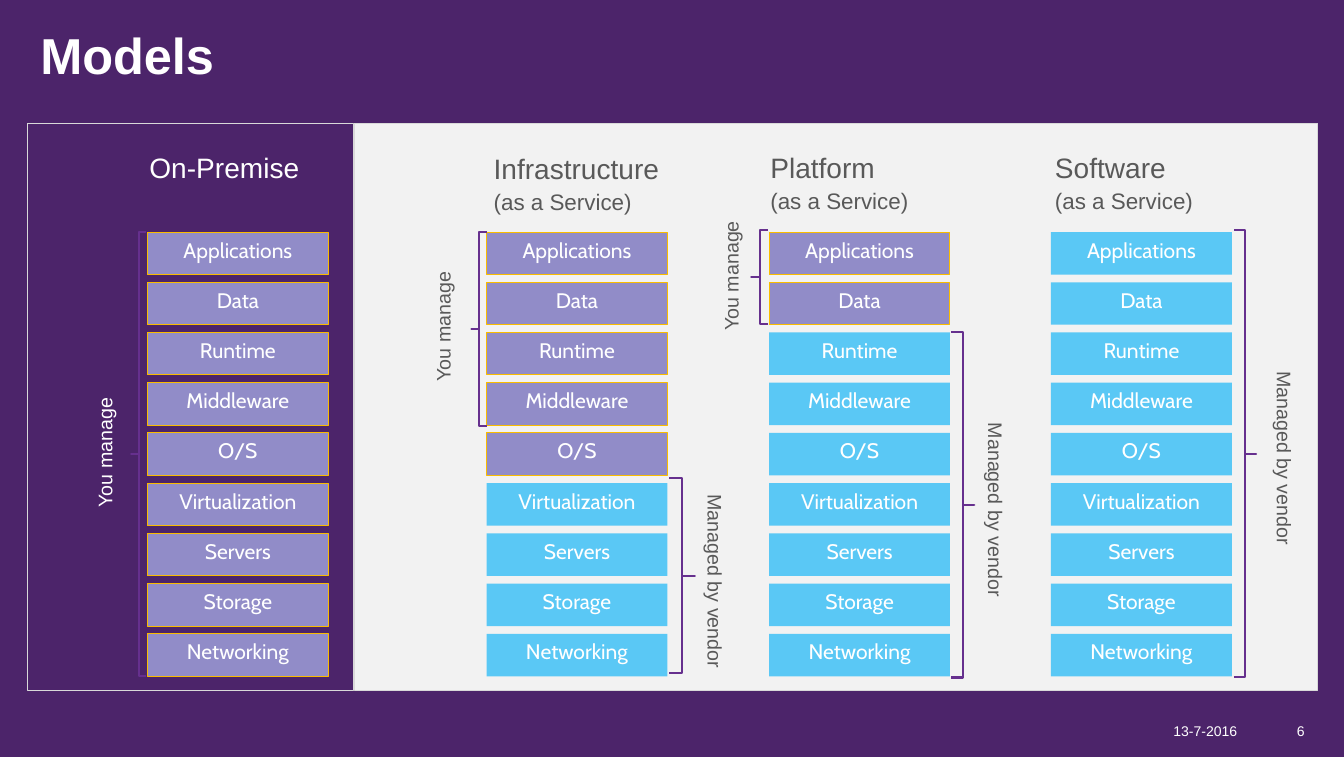
from pptx import Presentation
from pptx.dml.color import RGBColor
from pptx.enum.shapes import MSO_SHAPE
from pptx.enum.text import MSO_ANCHOR, PP_ALIGN
from pptx.util import Cm, Pt

BACKGROUND, WHITE, TEXT_GRAY = "4C246A", "FFFFFF", "595959"
PANEL, PANEL_LINE = "F2F2F2", "D9D9D9"
OWN_FILL, OWN_LINE, VENDOR_FILL = "918CC8", "F9BC00", "5AC8F5"
BRACE_LINE = "66308E"

LAYERS = ["Applications", "Data", "Runtime", "Middleware", "O/S",
          "Virtualization", "Servers", "Storage", "Networking"]
LAYER_WIDTH, LAYER_HEIGHT = 4.55, 1.07
STACK_TOP, LAYER_PITCH = 5.84, 10.11 / 8

# Boxes are (left, top, width, height) in centimetres.
MODELS = [
    {"heading": ["On-Premise"], "heading_box": (3.76, 3.71, 5.18, 1.78),
     "inset": 0, "color": WHITE, "left": 3.71, "own_layers": 9,
     "own": ((3.3, 5.84, 0.38, 11.18), (2.21, 9.88, 1.12, 3.02))},
    {"heading": ["Infrastructure", "(as a Service)"],
     "heading_box": (12.17, 3.73, 5.87, 1.78),
     "inset": 0.25, "color": TEXT_GRAY, "left": 12.24, "own_layers": 5,
     "own": ((11.86, 5.84, 0.38, 4.88), (10.72, 6.73, 1.12, 2.97)),
     "vendor": ((16.84, 12.04, 0.64, 4.9), (17.3, 12.19, 1.12, 4.7))},
    {"heading": ["Platform", "(as a Service)"],
     "heading_box": (19.13, 3.71, 5.56, 1.78),
     "inset": 0.25, "color": TEXT_GRAY, "left": 19.35, "own_layers": 2,
     "own": ((18.9, 5.79, 0.43, 2.36), (17.96, 5.46, 1.12, 2.97)),
     "vendor": ((23.93, 8.36, 0.58, 8.69), (24.36, 10.39, 1.12, 4.7))},
    {"heading": ["Software", "(as a Service)"],
     "heading_box": (26.29, 3.71, 5.64, 1.78),
     "inset": 0.25, "color": TEXT_GRAY, "left": 26.44, "own_layers": 0,
     "vendor": ((31.04, 5.79, 0.56, 11.25), (31.62, 9.09, 1.12, 4.7))},
]


def rgb(color):
    return RGBColor.from_string(color)


def to_lengths(box):
    return [Cm(value) for value in box]


def format_paragraph(paragraph, text, size, color, font="Arial", align=PP_ALIGN.LEFT):
    paragraph.text = text
    paragraph.alignment = align
    paragraph.font.name = font
    paragraph.font.size = Pt(size)
    paragraph.font.color.rgb = rgb(color)


def add_preset(shapes, kind, box, fill=None, line=None, line_width=0.75):
    shape = shapes.add_shape(kind, *to_lengths(box))
    shape.shadow.inherit = False
    if fill:
        shape.fill.solid()
        shape.fill.fore_color.rgb = rgb(fill)
    else:
        shape.fill.background()
    if line:
        shape.line.color.rgb = rgb(line)
        shape.line.width = Pt(line_width)
    else:
        shape.line.fill.background()
    return shape


def add_layer(shapes, text, left, row, is_own):
    box = (left, STACK_TOP + row * LAYER_PITCH, LAYER_WIDTH, LAYER_HEIGHT)
    fill, line = (OWN_FILL, OWN_LINE) if is_own else (VENDOR_FILL, None)
    shape = add_preset(shapes, MSO_SHAPE.RECTANGLE, box, fill, line)
    frame = shape.text_frame
    frame.vertical_anchor = MSO_ANCHOR.TOP
    format_paragraph(frame.paragraphs[0], text, 15, WHITE, "Cabin", PP_ALIGN.CENTER)


def add_heading(shapes, model):
    frame = shapes.add_textbox(*to_lengths(model["heading_box"])).text_frame
    frame.word_wrap = True
    frame.margin_top = frame.margin_bottom = 0
    frame.margin_left = frame.margin_right = Cm(model["inset"])
    for index, (text, size) in enumerate(zip(model["heading"], (20, 16))):
        paragraph = frame.add_paragraph() if index else frame.paragraphs[0]
        format_paragraph(paragraph, text, size, model["color"])
        paragraph.line_spacing = 1.1


def add_brace(shapes, box, opens_left):
    brace = add_preset(shapes, MSO_SHAPE.LEFT_BRACE, box, line=BRACE_LINE, line_width=1.5)
    brace.adjustments[0] = 0
    brace.adjustments[1] = 0.5
    if opens_left:
        brace.element.spPr.xfrm.set("flipH", "1")


def add_vertical_label(shapes, text, box, color, direction):
    label = shapes.add_textbox(*to_lengths(box))
    label.text_frame.word_wrap = False
    label.element.txBody.bodyPr.set("vert", direction)
    format_paragraph(label.text_frame.paragraphs[0], text, 14, color,
                     align=PP_ALIGN.CENTER)


def add_model(slide, model):
    shapes = slide.shapes.add_group_shape().shapes
    add_heading(shapes, model)
    for row, layer in enumerate(LAYERS):
        add_layer(shapes, layer, model["left"], row, row < model["own_layers"])
    for side, text, direction in (("own", "You manage", "vert270"),
                                  ("vendor", "Managed by vendor", "eaVert")):
        if side in model:
            brace_box, label_box = model[side]
            add_brace(shapes, brace_box, opens_left=side == "vendor")
            add_vertical_label(shapes, text, label_box, model["color"], direction)


def add_title(slide, text):
    title = slide.shapes.title
    title.left, title.top, title.width, title.height = to_lengths((0.76, 0.13, 32.05, 2.49))
    title.text_frame.vertical_anchor = MSO_ANCHOR.MIDDLE
    paragraph = title.text_frame.paragraphs[0]
    format_paragraph(paragraph, text, 36, WHITE)
    paragraph.font.bold = True


def add_footer(slide, text, left, width):
    frame = slide.shapes.add_textbox(*to_lengths((left, 17.88, width, 1.02))).text_frame
    frame.word_wrap = True
    frame.vertical_anchor = MSO_ANCHOR.MIDDLE
    format_paragraph(frame.paragraphs[0], text, 10, WHITE, align=PP_ALIGN.RIGHT)


def main():
    presentation = Presentation()
    presentation.slide_width, presentation.slide_height = Cm(33.81), Cm(19.05)
    slide = presentation.slides.add_slide(presentation.slide_layouts[5])
    slide.background.fill.solid()
    slide.background.fill.fore_color.rgb = rgb(BACKGROUND)

    add_title(slide, "Models")
    add_footer(slide, "13-7-2016", 23.47, 7.9)
    add_footer(slide, "6", 30.96, 2.11)
    add_preset(slide.shapes, MSO_SHAPE.RECTANGLE, (8.92, 3.1, 24.23, 14.27),
               PANEL, PANEL_LINE)
    for model in MODELS:
        add_model(slide, model)
    add_preset(slide.shapes, MSO_SHAPE.RECTANGLE, (0.69, 3.1, 8.2, 14.27),
               line=PANEL_LINE)
    presentation.save("out.pptx")


if __name__ == "__main__":
    main()
